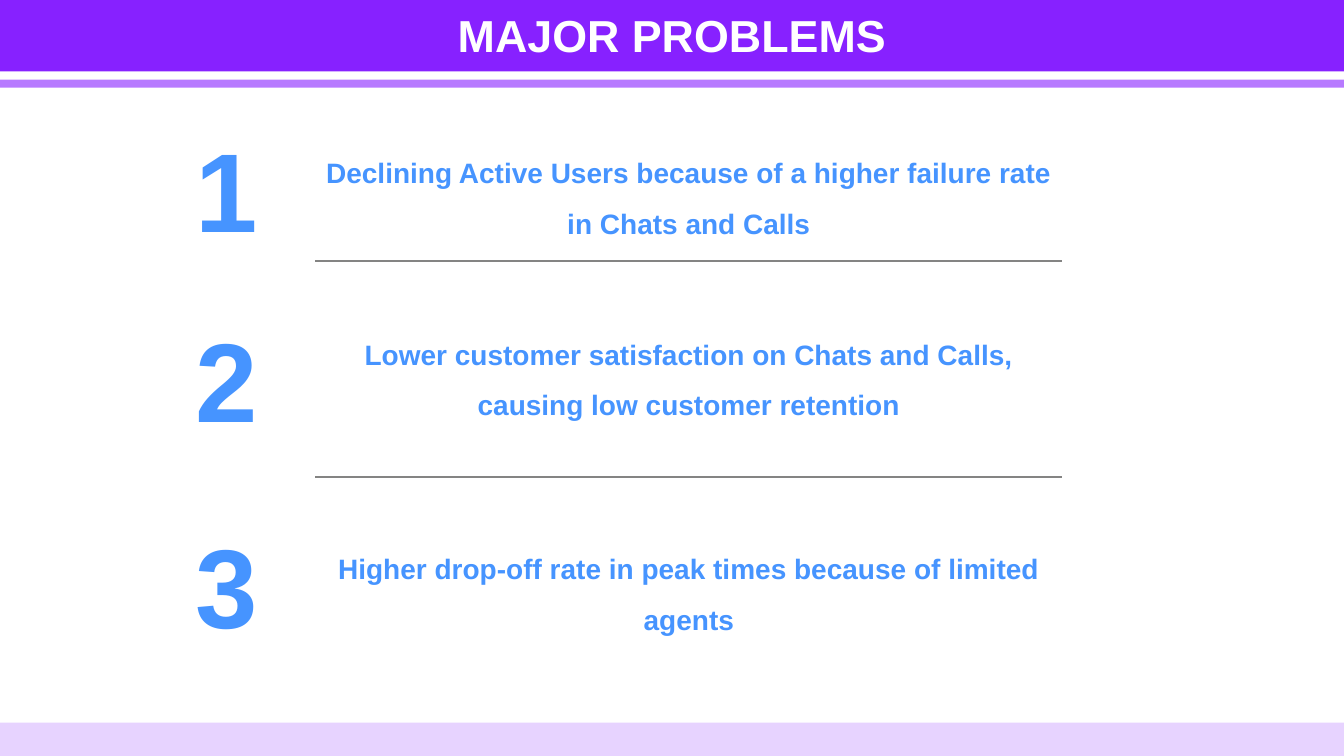
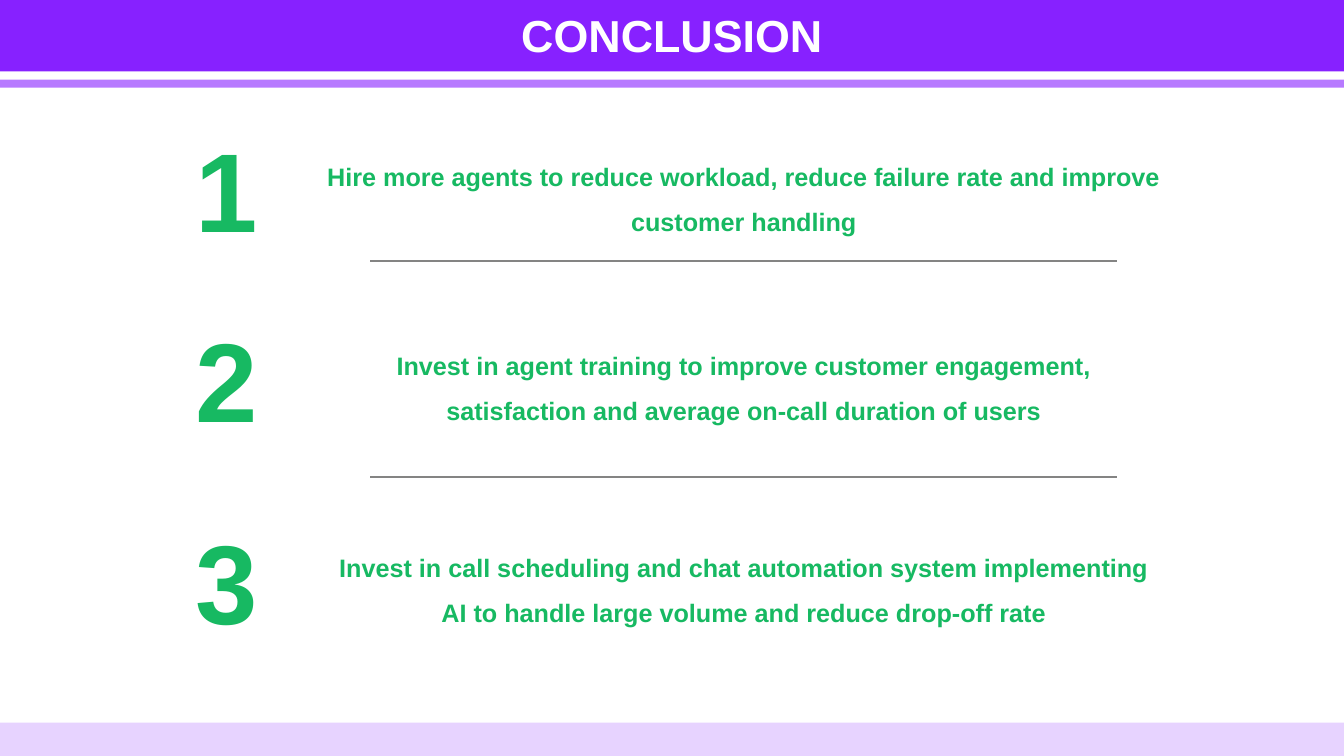
"""Build two slides of numbered statements under a shared purple banner."""
from dataclasses import dataclass

from lxml import etree
from pptx import Presentation
from pptx.dml.color import RGBColor
from pptx.enum import shapes, text
from pptx.oxml import ns
from pptx.util import Cm, Pt


@dataclass(frozen=True)
class Theme:
    font: str = "Arial"
    banner: str = "8721FF"
    stripe: str = "B77AFF"
    footer: str = "E7D3FF"
    white: str = "FFFFFF"
    rule: str = "848483"
    problem: str = "4694FF"
    solution: str = "17B962"
    title_size: int = 32
    number_size: int = 80
    problem_size: int = 20
    solution_size: int = 18
    rule_width: float = 1.5


@dataclass(frozen=True)
class Content:
    title: str
    color: str
    size: int
    width: float
    height: float
    statements: tuple


THEME = Theme()
PAGE_WIDTH, PAGE_HEIGHT = 33.87, 19.05
FOOTER_HEIGHT = 0.84
BANDS = (
    (0, 2.21, THEME.stripe),
    (0, 2.01, THEME.white),
    (0, 1.8, THEME.banner),
    (PAGE_HEIGHT - FOOTER_HEIGHT, FOOTER_HEIGHT, THEME.footer),
)
TITLE_WIDTH = 16.93
NUMBER_LEFT, NUMBER_WIDTH, NUMBER_HEIGHT = 4.34, 2.77, 3.68
STATEMENT_LEFT = 7.95
RULE_LENGTH = 18.82
RULE_TOPS = (6.58, 12.01)

PAGES = (
    Content(
        "MAJOR PROBLEMS", THEME.problem, THEME.problem_size, 18.82, 2.67,
        (
            (2.92, 3.38, "Declining Active Users because of a higher failure rate in Chats and Calls"),
            (7.7, 7.95, "Lower customer satisfaction on Chats and Calls, causing low customer retention"),
            (12.88, 13.36, "Higher drop-off rate in peak times because of limited agents"),
        ),
    ),
    Content(
        "CONCLUSION", THEME.solution, THEME.solution_size, 21.59, 2.44,
        (
            (2.92, 3.56, "Hire more agents to reduce workload, reduce failure rate and improve customer handling"),
            (7.7, 8.31, "Invest in agent training to improve customer engagement, satisfaction and average "
                        "on-call duration of users"),
            (12.78, 13.41, "Invest in call scheduling and chat automation system implementing AI to handle "
                           "large volume and reduce drop-off rate"),
        ),
    ),
)


def add_band(page, top, height, color):
    """Add a plain rectangle across the full page width."""
    band = page.shapes.add_shape(
        shapes.MSO_SHAPE.RECTANGLE, Cm(0), Cm(top), Cm(PAGE_WIDTH), Cm(height))
    band.shadow.inherit = False
    band.fill.solid()
    band.fill.fore_color.rgb = RGBColor.from_string(color)
    band.line.fill.background()


def add_text(page, wording, frame, size, color, spacing=1.0):
    """Add a wrapped box of bold centred text."""
    box = page.shapes.add_textbox(*map(Cm, frame))
    box.text_frame.word_wrap = True
    box.text_frame.auto_size = text.MSO_AUTO_SIZE.SHAPE_TO_FIT_TEXT
    box.text_frame.text = wording
    para = box.text_frame.paragraphs[0]
    para.alignment = text.PP_ALIGN.CENTER
    para.line_spacing = spacing
    font = para.runs[0].font
    font.name, font.size, font.bold = THEME.font, Pt(size), True
    font.color.rgb = RGBColor.from_string(color)


def add_rule(page, left, top):
    """Add a thin horizontal separator."""
    rule = page.shapes.add_connector(
        shapes.MSO_CONNECTOR.STRAIGHT, Cm(left), Cm(top), Cm(left + RULE_LENGTH), Cm(top))
    rule.line.color.rgb = RGBColor.from_string(THEME.rule)
    rule.line.width = Pt(THEME.rule_width)
    etree.SubElement(rule._element.spPr, ns.qn("a:effectLst"))


def add_page(deck, content):
    """Add one page with its bands, title, numbers, rules and statements."""
    page = deck.slides.add_slide(deck.slide_layouts[6])
    for band in BANDS:
        add_band(page, *band)
    title_left = (PAGE_WIDTH - TITLE_WIDTH) / 2
    add_text(page, content.title, (title_left, 0.08, TITLE_WIDTH, 1.63),
             THEME.title_size, THEME.white)
    for number, (number_top, top, wording) in enumerate(content.statements, 1):
        add_text(page, str(number), (NUMBER_LEFT, number_top, NUMBER_WIDTH, NUMBER_HEIGHT),
                 THEME.number_size, content.color)
        add_text(page, wording, (STATEMENT_LEFT, top, content.width, content.height),
                 content.size, content.color, spacing=1.5)
    for top in RULE_TOPS:
        add_rule(page, STATEMENT_LEFT + (content.width - RULE_LENGTH) / 2, top)


def main():
    """Build and save the deck."""
    deck = Presentation()
    deck.slide_width, deck.slide_height = Cm(PAGE_WIDTH), Cm(PAGE_HEIGHT)
    for content in PAGES:
        add_page(deck, content)
    deck.save("out.pptx")


if __name__ == "__main__":
    main()
